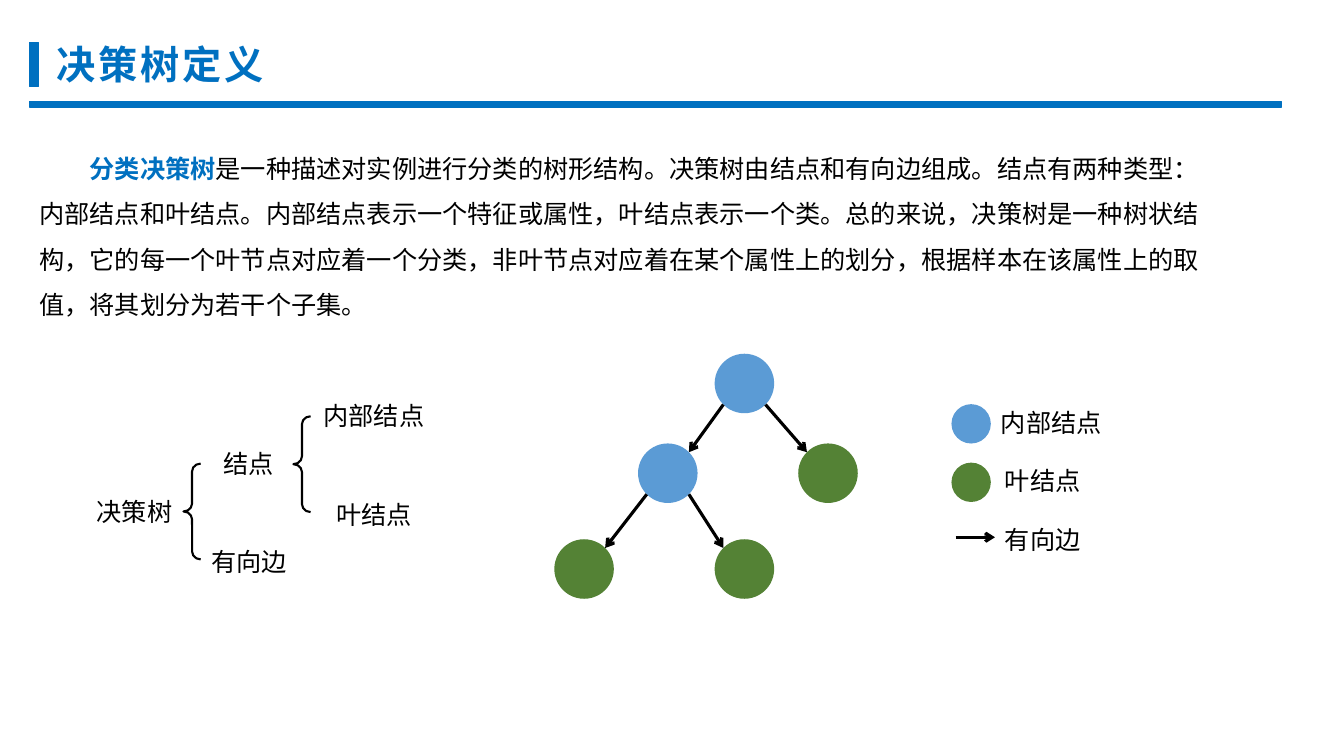
from math import sqrt

from lxml.etree import SubElement
from pptx import Presentation
from pptx.dml.color import RGBColor
from pptx.enum.shapes import MSO_CONNECTOR, MSO_SHAPE
from pptx.enum.text import MSO_ANCHOR, MSO_AUTO_SIZE, PP_ALIGN
from pptx.oxml.ns import qn
from pptx.util import Inches, Pt

BLUE = RGBColor(0x00, 0x70, 0xC0)
INNER = RGBColor(0x5B, 0x9B, 0xD5)
LEAF = RGBColor(0x54, 0x82, 0x35)
BLACK = RGBColor(0, 0, 0)
CJK = "Noto Sans CJK SC"

WIDTH, HEIGHT = Inches(13.33), Inches(7.5)
COL, ROW = WIDTH / 100, HEIGHT / 100
MARGIN = 2.18
NODE, KEY = 4.43, 2.93
LABEL_HEIGHT = 5.33
DEFINITION = (
    "是一种描述对实例进行分类的树形结构。决策树由结点和有向边组成。结点有两种类型："
    "内部结点和叶结点。内部结点表示一个特征或属性，叶结点表示一个类。总的来说，"
    "决策树是一种树状结构，它的每一个叶节点对应着一个分类，非叶节点对应着在某个属性上的划分，"
    "根据样本在该属性上的取值，将其划分为若干个子集。"
)


def place(left, top, width, height):
    return round(left * COL), round(top * ROW), round(width * COL), round(height * ROW)


def write(paragraph, text, size=18, color=BLACK, bold=False, font="Calibri", spacing=None):
    run = paragraph.add_run()
    run.text = text
    run.font.size = Pt(size)
    run.font.bold = bold
    run.font.color.rgb = color
    run.font.name = font
    properties = run.font._element
    SubElement(properties, qn("a:ea")).set("typeface", CJK)
    if spacing:
        properties.set("spc", str(spacing * 100))


def text_area(slide, *area):
    frame = slide.shapes.add_textbox(*place(*area)).text_frame
    frame.word_wrap = True
    return frame.paragraphs[0]


def label(slide, text, left, top, width):
    write(text_area(slide, left, top, width, LABEL_HEIGHT), text)


def bar(slide, *area):
    stripe = slide.shapes.add_shape(MSO_SHAPE.RECTANGLE, *place(*area))
    stripe.shadow.inherit = False
    stripe.fill.solid()
    stripe.fill.fore_color.rgb = BLUE
    stripe.line.color.rgb = BLUE
    stripe.line.width = Pt(1)


def brace(slide, left, top):
    bracket = slide.shapes.add_shape(MSO_SHAPE.LEFT_BRACE, *place(left, top, 1.28, 12.67))
    bracket.shadow.inherit = False
    bracket.adjustments[0] = 0.457
    bracket.fill.background()
    bracket.line.color.rgb = BLACK
    bracket.line.width = Pt(1.5)


def circle(slide, center, diameter, color):
    x, y = center
    side = round(diameter * COL)
    disc = slide.shapes.add_shape(
        MSO_SHAPE.OVAL, round(x * COL - side / 2), round(y * ROW - side / 2), side, side
    )
    disc.shadow.inherit = False
    disc.fill.solid()
    disc.fill.fore_color.rgb = color
    disc.line.fill.background()


def arrow(slide, start, end):
    ends = [round(v) for x, y in (start, end) for v in (x * COL, y * ROW)]
    edge = slide.shapes.add_connector(MSO_CONNECTOR.STRAIGHT, *ends)
    edge.line.color.rgb = BLACK
    edge.line.width = Pt(2.25)
    SubElement(edge.line._get_or_add_ln(), qn("a:tailEnd")).set("type", "arrow")
    SubElement(edge._element.spPr, qn("a:effectLst"))


def branch(slide, parent, child):
    dx = NODE / 2 / sqrt(2)
    dy = dx * COL / ROW
    side = 1 if child[0] > parent[0] else -1
    arrow(
        slide,
        (parent[0] + side * dx, parent[1] + dy),
        (child[0] - side * dx, child[1] - dy),
    )


def heading(slide):
    title = slide.shapes.title
    title.left, title.top, title.width, title.height = place(3.45, 4.67, 17.48, 7.6)
    frame = title.text_frame
    frame.auto_size = MSO_AUTO_SIZE.NONE
    frame.vertical_anchor = MSO_ANCHOR.MIDDLE
    frame.paragraphs[0].alignment = PP_ALIGN.LEFT
    write(frame.paragraphs[0], "决策树定义", size=28, color=BLUE, bold=True, font=CJK, spacing=2)
    bar(slide, MARGIN, 5.6, 0.68, 5.87)
    bar(slide, MARGIN, 13.47, 93.15, 0.67)


def definition(slide):
    paragraph = text_area(slide, MARGIN, 17.6, 89.48, 25.6)
    paragraph.line_spacing = 1.5
    paragraph._p.get_or_add_pPr().set("indent", str(Inches(0.5)))
    write(paragraph, "分类决策树", color=BLUE, bold=True)
    write(paragraph, DEFINITION)


def outline(slide):
    label(slide, "决策树", 6.45, 64.93, 7.5)
    brace(slide, 13.65, 61.33)
    label(slide, "结点", 15.9, 58.67, 5.6)
    label(slide, "有向边", 15, 71.6, 7.43)
    brace(slide, 21.83, 55.07)
    label(slide, "内部结点", 23.33, 52.27, 9.23)
    label(slide, "叶结点", 24.3, 65.33, 7.43)


def tree(slide):
    root, inner, right = (55.39, 50.73), (49.69, 62.6), (61.61, 62.6)
    low_left, low_right = (43.46, 75.27), (55.39, 75.27)
    for node in (root, inner):
        circle(slide, node, NODE, INNER)
    for node in (right, low_left, low_right):
        circle(slide, node, NODE, LEAF)
    for parent, child in ((root, inner), (root, right), (inner, low_left), (inner, low_right)):
        branch(slide, parent, child)


def legend(slide):
    step = 7.73
    for row, color in enumerate((INNER, LEAF)):
        circle(slide, (72.26, 56.07 + row * step), KEY, color)
    arrow(slide, (71.1, 71.07), (74.03, 71.07))
    entries = (("内部结点", 73.73, 9.23), ("叶结点", 74.03, 7.43), ("有向边", 74.03, 7.43))
    for row, (text, left, width) in enumerate(entries):
        label(slide, text, left, 53.2 + row * step, width)


def main():
    deck = Presentation()
    deck.slide_width, deck.slide_height = WIDTH, HEIGHT
    slide = deck.slides.add_slide(deck.slide_layouts[5])
    heading(slide)
    definition(slide)
    outline(slide)
    tree(slide)
    legend(slide)
    deck.save("out.pptx")


if __name__ == "__main__":
    main()
